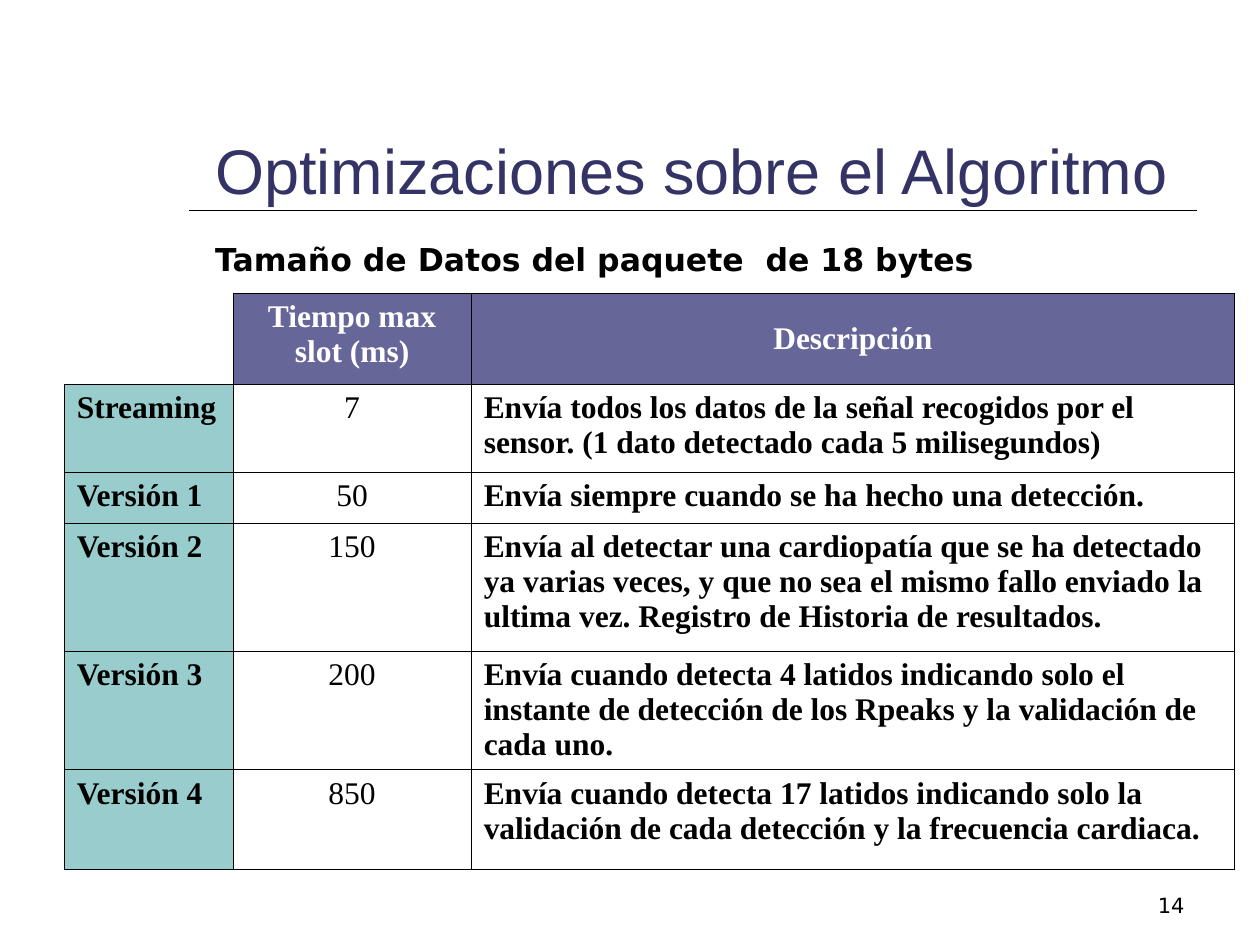
"""Builds the slide that compares the versions of the sending algorithm."""
import pptx
import pptx.dml.color
import pptx.enum.shapes
import pptx.enum.text
import pptx.oxml
import pptx.oxml.ns
import pptx.util

RGBColor = pptx.dml.color.RGBColor
ALIGN = pptx.enum.text.PP_ALIGN
ANCHOR = pptx.enum.text.MSO_ANCHOR

BLACK = RGBColor(0x00, 0x00, 0x00)
WHITE = RGBColor(0xFF, 0xFF, 0xFF)
NAVY = RGBColor(0x33, 0x33, 0x66)
PURPLE = RGBColor(0x66, 0x66, 0x99)
TEAL = RGBColor(0x99, 0xCC, 0xCC)

SLIDE_W = pptx.util.Inches(10)
SLIDE_H = pptx.util.Inches(7.5)
GRID_COLS, GRID_ROWS = 100, 75

TABLE_LEFT = 5.1
COLUMN_WIDTHS = (13.4, 18.9, 60.6)
HEADER = ("", "Tiempo max slot (ms)", "Descripción")
STREAMING = ("Streaming", "7", "Envía todos los datos de la señal recogidos por el "
             "sensor. (1 dato detectado cada 5 milisegundos)")
VERSIONS = (
    (37.5, 4, ("Versión 1", "50", "Envía siempre cuando se ha hecho una detección.")),
    (41.5, 10.2, ("Versión 2", "150", "Envía al detectar una cardiopatía que se ha detectado "
                  "ya varias veces, y que no sea el mismo fallo enviado la ultima vez. "
                  "Registro de Historia de resultados.")),
    (51.7, 10, ("Versión 3", "200", "Envía cuando detecta 4 latidos indicando solo el instante "
                "de detección de los Rpeaks y la validación de cada uno.")),
    (61.1, 7.9, ("Versión 4", "850", "Envía cuando detecta 17 latidos indicando solo la "
                 "validación de cada detección y la frecuencia cardiaca.")),
)


def x(cols):
    """Return the length of a number of grid columns."""
    return round(SLIDE_W * cols / GRID_COLS)


def y(rows):
    """Return the length of a number of grid rows."""
    return round(SLIDE_H * rows / GRID_ROWS)


def write(tf, text, font, size, color, bold=False, align=ALIGN.LEFT):
    """Put one formatted paragraph into a text frame."""
    tf.text = text
    p = tf.paragraphs[0]
    p.alignment = align
    for r in p.runs:
        r.font.name = font
        r.font.size = pptx.util.Pt(size)
        r.font.bold = bold
        r.font.color.rgb = color


def add_text(s, left, top, width, height, text, font, size, color,
             anchor=ANCHOR.TOP, **style):
    """Add a wrapping text box."""
    tf = s.shapes.add_textbox(x(left), y(top), x(width), y(height)).text_frame
    tf.word_wrap = True
    tf.vertical_anchor = anchor
    write(tf, text, font, size, color, **style)


def add_rule(s, left, right, top):
    """Add the horizontal line under the title."""
    sp = s.shapes.add_connector(pptx.enum.shapes.MSO_CONNECTOR.STRAIGHT,
                                x(left), y(top), x(right), y(top))
    sp.line.color.rgb = BLACK
    sp.line.width = pptx.util.Pt(1)
    sp._element.spPr.append(pptx.oxml.parse_xml(
        f'<a:effectLst {pptx.oxml.ns.nsdecls("a")}/>'))


def set_borders(cell, visible):
    """Draw the named sides of a cell and hide the others."""
    tc_pr = cell._tc.get_or_add_tcPr()
    for side in "LRTB":
        paint = f'<a:solidFill><a:srgbClr val="{BLACK}"/></a:solidFill>'
        if side not in visible:
            paint = "<a:noFill/>"
        tc_pr.append(pptx.oxml.parse_xml(
            f'<a:ln{side} {pptx.oxml.ns.nsdecls("a")} w="{pptx.util.Pt(0.45)}">'
            f'{paint}</a:ln{side}>'))


def fill_cell(cell, text, column, is_header):
    """Write and colour a cell according to its place in the table."""
    set_borders(cell, "LRTB" if text else "RB")
    if not text:
        cell.fill.background()
        return
    cell.fill.solid()
    cell.fill.fore_color.rgb = PURPLE if is_header else (TEAL, WHITE, WHITE)[column]
    if is_header and column == 2:
        cell.vertical_anchor = ANCHOR.MIDDLE
    write(cell.text_frame, text, "Times New Roman", 18, WHITE if is_header else BLACK,
          bold=is_header or column != 1,
          align=ALIGN.CENTER if is_header or column == 1 else ALIGN.LEFT)


def add_grid(s, top, heights, rows):
    """Add a table whose columns line up with the other tables."""
    table = s.shapes.add_table(len(rows), len(COLUMN_WIDTHS), x(TABLE_LEFT), y(top),
                               x(sum(COLUMN_WIDTHS)), y(sum(heights))).table
    table.first_row = table.horz_banding = False
    for column, width in zip(table.columns, COLUMN_WIDTHS):
        column.width = x(width)
    for i, (height, texts) in enumerate(zip(heights, rows)):
        table.rows[i].height = y(height)
        for j, text in enumerate(texts):
            fill_cell(table.cell(i, j), text, j, texts is HEADER)


def main():
    """Build and save the slide."""
    prs = pptx.Presentation()
    prs.slide_width, prs.slide_height = SLIDE_W, SLIDE_H
    s = prs.slides.add_slide(prs.slide_layouts[6])
    add_rule(s, 15, 95, 16.7)
    add_text(s, 16.1, 4.4, 80, 12.5, "Optimizaciones sobre el Algoritmo", "Arial", 36, NAVY,
             anchor=ANCHOR.BOTTOM)
    for top, height, texts in VERSIONS:
        add_grid(s, top, (height,), (texts,))
    add_grid(s, 23.3, (7.2, 7), (HEADER, STREAMING))
    add_text(s, 16.1, 18.6, 66.9, 4, "Tamaño de Datos del paquete  de 18 bytes",
             "DejaVu Sans", 18, BLACK, bold=True)
    add_text(s, 71.7, 68.3, 23.3, 5, "14", "DejaVu Sans", 12, BLACK,
             anchor=ANCHOR.BOTTOM, align=ALIGN.RIGHT)
    prs.save("out.pptx")


if __name__ == "__main__":
    main()
